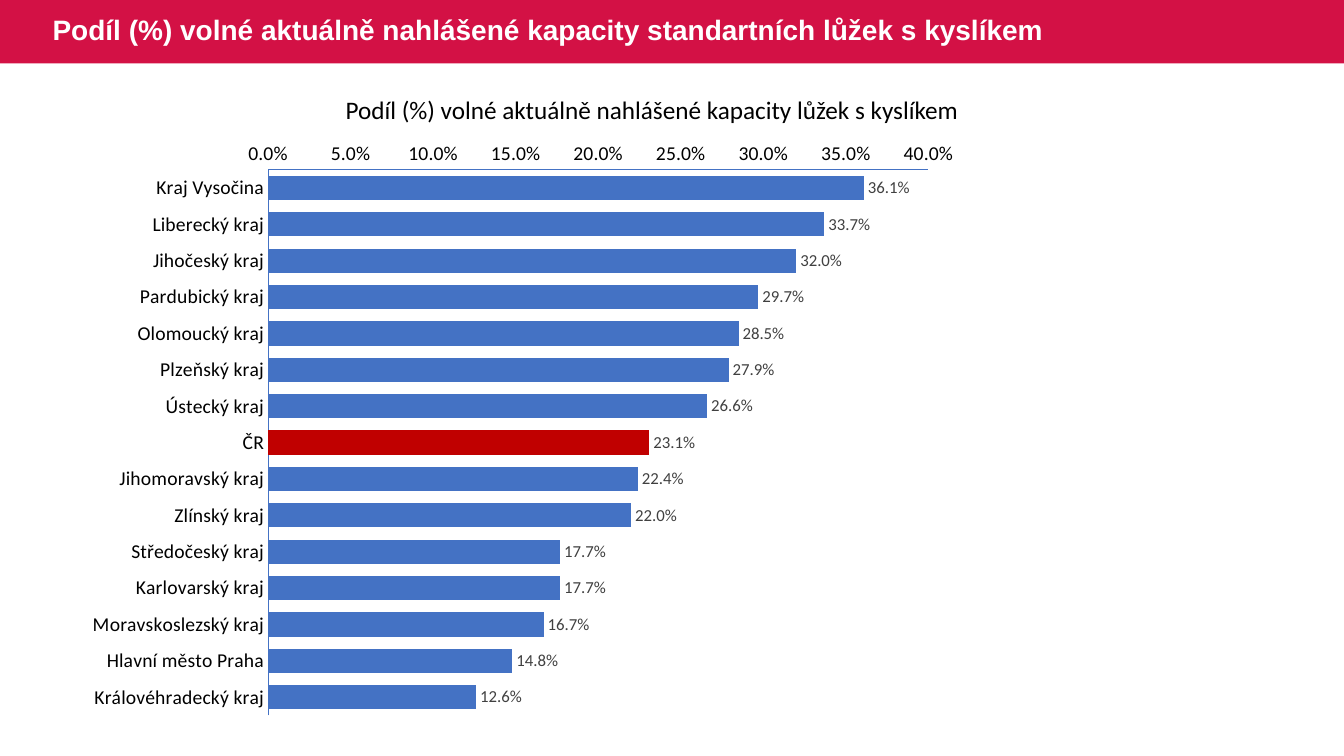
"""Build a slide with a bar chart of free oxygen bed capacity by Czech region."""
from dataclasses import dataclass

from pptx import Presentation
from pptx.chart.data import CategoryChartData as ChartData
from pptx.dml.color import RGBColor as RGB
from pptx.enum.chart import XL_CHART_TYPE as Kind, XL_LABEL_POSITION as Place, XL_TICK_MARK as Tick
from pptx.enum.shapes import MSO_SHAPE as Shape
from pptx.enum.text import MSO_ANCHOR as Anchor, MSO_AUTO_SIZE as Fit, PP_ALIGN as Align
from pptx.oxml import parse_xml
from pptx.oxml.ns import nsdecls
from pptx.util import Cm, Pt


@dataclass
class Theme:
    band: RGB = RGB(0xD3, 0x11, 0x45)
    white: RGB = RGB(0xFF, 0xFF, 0xFF)
    black: RGB = RGB(0, 0, 0)
    grey: RGB = RGB(0x40, 0x40, 0x40)
    blue: RGB = RGB(0x44, 0x72, 0xC4)
    red: RGB = RGB(0xC0, 0, 0)
    head: str = "Arial"
    body: str = "Calibri"
    title: Pt = Pt(20)
    sub: Pt = Pt(18)
    axis: Pt = Pt(14)
    label: Pt = Pt(12)
    base: Pt = Pt(10)


theme = Theme()


def style(font, name, size, color):
    font.name, font.size = name, size
    font.color.rgb = color


deck = Presentation()
deck.slide_width, deck.slide_height = Cm(33.87), Cm(19.05)
slide = deck.slides.add_slide(deck.slide_layouts[5])

band = slide.shapes.add_shape(Shape.RECTANGLE, 0, 0, deck.slide_width, Cm(1.6))
band.shadow.inherit = False
band.fill.solid()
band.fill.fore_color.rgb = theme.band
band.line.fill.background()

title = slide.shapes.title
band._element.getparent().remove(band._element)
title._element.addprevious(band._element)
title.left, title.top, title.width, title.height = Cm(1.07), Cm(0), Cm(29.36), Cm(1.6)
frame = title.text_frame
frame.text = "Podíl (%) volné aktuálně nahlášené kapacity standartních lůžek s kyslíkem"
frame.vertical_anchor = Anchor.MIDDLE
frame.auto_size = Fit.NONE
para = frame.paragraphs[0]
para.alignment, para.line_spacing = Align.LEFT, 0.9
font = para.runs[0].font
style(font, theme.head, theme.title, theme.white)
font.bold = True

shares = {
    "Kraj Vysočina": 0.361,
    "Liberecký kraj": 0.337,
    "Jihočeský kraj": 0.32,
    "Pardubický kraj": 0.297,
    "Olomoucký kraj": 0.285,
    "Plzeňský kraj": 0.279,
    "Ústecký kraj": 0.266,
    "ČR": 0.231,
    "Jihomoravský kraj": 0.224,
    "Zlínský kraj": 0.22,
    "Středočeský kraj": 0.177,
    "Karlovarský kraj": 0.177,
    "Moravskoslezský kraj": 0.167,
    "Hlavní město Praha": 0.148,
    "Královéhradecký kraj": 0.126,
}
data = ChartData(number_format="0.0%")
data.categories = list(shares)
data.add_series("Series 1", list(shares.values()))
chart = slide.shapes.add_chart(
    Kind.BAR_CLUSTERED, Cm(1.88), Cm(3.3), Cm(22.58), Cm(15.06), data).chart
chart.has_title = chart.has_legend = False
style(chart.font, theme.body, theme.base, theme.black)

for axis in (chart.category_axis, chart.value_axis):
    axis.has_major_gridlines = False
    axis.major_tick_mark = axis.minor_tick_mark = Tick.NONE
    axis.format.line.color.rgb = theme.blue
    axis.format.line.width = Pt(0.75)
    style(axis.tick_labels.font, theme.body, theme.axis, theme.black)
chart.category_axis.reverse_order = True
scale = chart.value_axis
scale.minimum_scale, scale.maximum_scale, scale.major_unit = 0, 0.4, 0.05
scale.tick_labels.number_format = "0.0%"
scale.tick_labels.number_format_is_linked = False

plot = chart.plots[0]
plot.gap_width = 50
plot.vary_by_categories = False
bars = plot.series[0]
for part, color in ((bars, theme.blue), (bars.points[list(shares).index("ČR")], theme.red)):
    part.format.fill.solid()
    part.format.fill.fore_color.rgb = color
labels = bars.data_labels
labels.show_value = True
labels.position = Place.OUTSIDE_END
labels.number_format = "0.0%"
labels.number_format_is_linked = False
style(labels.font, theme.body, theme.label, theme.grey)

area = chart._chartSpace.chart.plotArea
for old in area.findall("{*}layout"):
    area.remove(old)
modes = "".join(f'<c:{key}Mode val="edge"/>' for key in "xy")
box = {"x": 0.216, "y": 0.065, "w": 0.737, "h": 0.913}
sizes = "".join(f'<c:{key} val="{val}"/>' for key, val in box.items())
area.insert(0, parse_xml(
    f'<c:layout {nsdecls("c")}><c:manualLayout><c:layoutTarget val="inner"/>'
    f'{modes}{sizes}</c:manualLayout></c:layout>'))

note = slide.shapes.add_textbox(Cm(8.46), Cm(2.26), Cm(16.13), Cm(1.02)).text_frame
note.text = "Podíl (%) volné aktuálně nahlášené kapacity lůžek s kyslíkem"
note.word_wrap = False
note.auto_size = Fit.SHAPE_TO_FIT_TEXT
style(note.paragraphs[0].runs[0].font, theme.body, theme.sub, theme.black)

deck.save("out.pptx")
